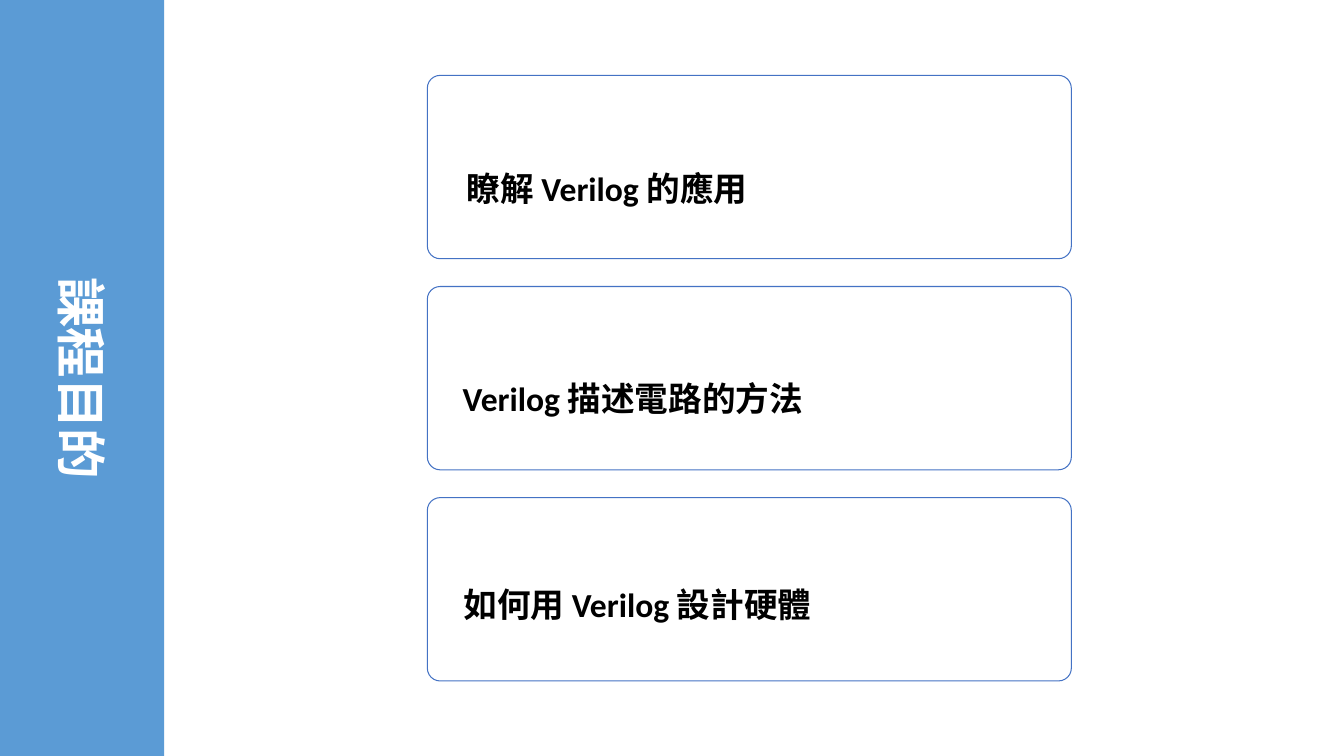
from typing import NamedTuple

from pptx import Presentation
from pptx.dml.color import RGBColor
from pptx.enum import shapes, text
from pptx.util import Cm, Pt

BAND_BLUE = RGBColor(0x5B, 0x9B, 0xD5)
OUTLINE_BLUE = RGBColor(0x44, 0x72, 0xC4)
WHITE = RGBColor(0xFF, 0xFF, 0xFF)
BLACK = RGBColor(0x00, 0x00, 0x00)
FONT = "Calibri"

# Card column, in centimetres
CARD_LEFT, CARD_TOP = 10.77, 1.9
CARD_WIDTH, CARD_HEIGHT = 16.23, 4.62
CARD_PITCH = 5.32


class Goal(NamedTuple):
    label: str
    left: float
    top: float
    width: float


GOALS = [
    Goal("瞭解 Verilog 的應用", 11.76, 4.22, 8),
    Goal("Verilog 描述電路的方法", 11.66, 9.53, 10.29),
    Goal("如何用 Verilog 設計硬體", 11.68, 14.71, 14.45),
]


def style_run(p, size: int, color: RGBColor) -> None:
    font = p.runs[0].font
    font.name, font.size, font.bold = FONT, Pt(size), True
    font.color.rgb = color


def add_title(s, title: str) -> None:
    sp = s.shapes.title
    sp.left, sp.top, sp.width, sp.height = Cm(-2.92), Cm(8.48), Cm(9.98), Cm(2.11)
    sp.rotation = 90
    tf = sp.text_frame
    tf.text = title
    tf.word_wrap = True
    tf.auto_size = text.MSO_AUTO_SIZE.NONE
    tf.vertical_anchor = text.MSO_ANCHOR.MIDDLE
    p = tf.paragraphs[0]
    p.alignment = text.PP_ALIGN.CENTER
    style_run(p, 36, WHITE)


def add_band(s, height: int) -> None:
    sp = s.shapes.add_shape(shapes.MSO_SHAPE.RECTANGLE, 0, 0, Cm(4.14), height)
    sp.shadow.inherit = False
    sp.fill.solid()
    sp.fill.fore_color.rgb = BAND_BLUE
    sp.line.fill.background()
    # Keep the band behind the title
    s.shapes.title.element.addprevious(sp.element)


def add_card(s, row: int) -> None:
    sp = s.shapes.add_shape(
        shapes.MSO_SHAPE.ROUNDED_RECTANGLE,
        Cm(CARD_LEFT), Cm(CARD_TOP + row * CARD_PITCH),
        Cm(CARD_WIDTH), Cm(CARD_HEIGHT),
    )
    sp.adjustments[0] = 0.07
    sp.shadow.inherit = False
    sp.fill.background()
    sp.line.color.rgb = OUTLINE_BLUE
    sp.line.width = Pt(0.75)


def add_label(s, goal: Goal) -> None:
    sp = s.shapes.add_textbox(Cm(goal.left), Cm(goal.top), Cm(goal.width), Cm(1.02))
    tf = sp.text_frame
    tf.text = goal.label
    tf.word_wrap = True
    tf.auto_size = text.MSO_AUTO_SIZE.SHAPE_TO_FIT_TEXT
    tf.margin_left = tf.margin_top = tf.margin_right = tf.margin_bottom = 0
    style_run(tf.paragraphs[0], 24, BLACK)


def main() -> None:
    prs = Presentation()
    prs.slide_width, prs.slide_height = Cm(33.87), Cm(19.05)
    s = prs.slides.add_slide(prs.slide_layouts.get_by_name("Title Only"))

    # Side band with the rotated title
    add_title(s, "課程目的")
    add_band(s, prs.slide_height)

    # Course goals
    for row, goal in enumerate(GOALS):
        add_card(s, row)
        add_label(s, goal)

    prs.save("out.pptx")


if __name__ == "__main__":
    main()
